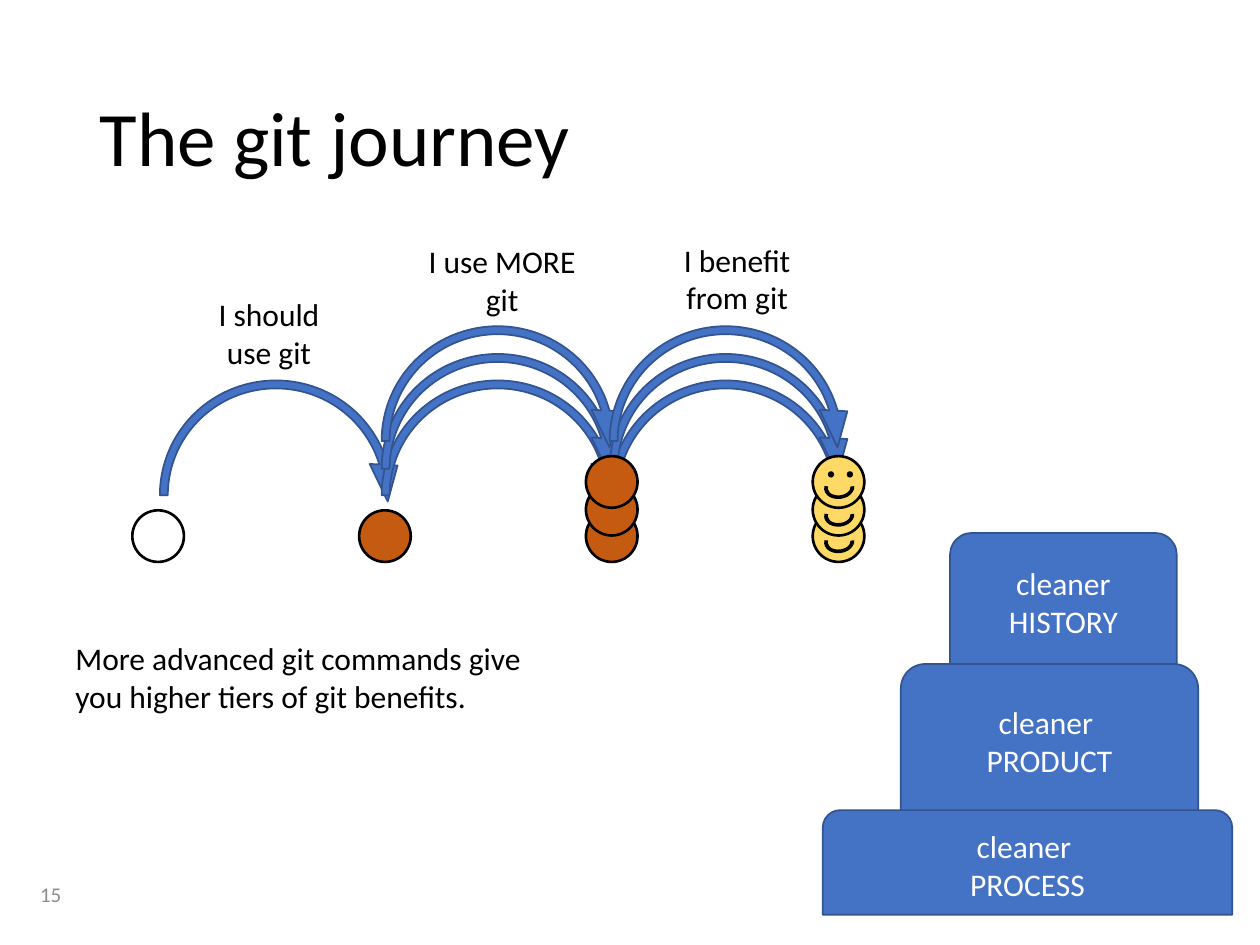
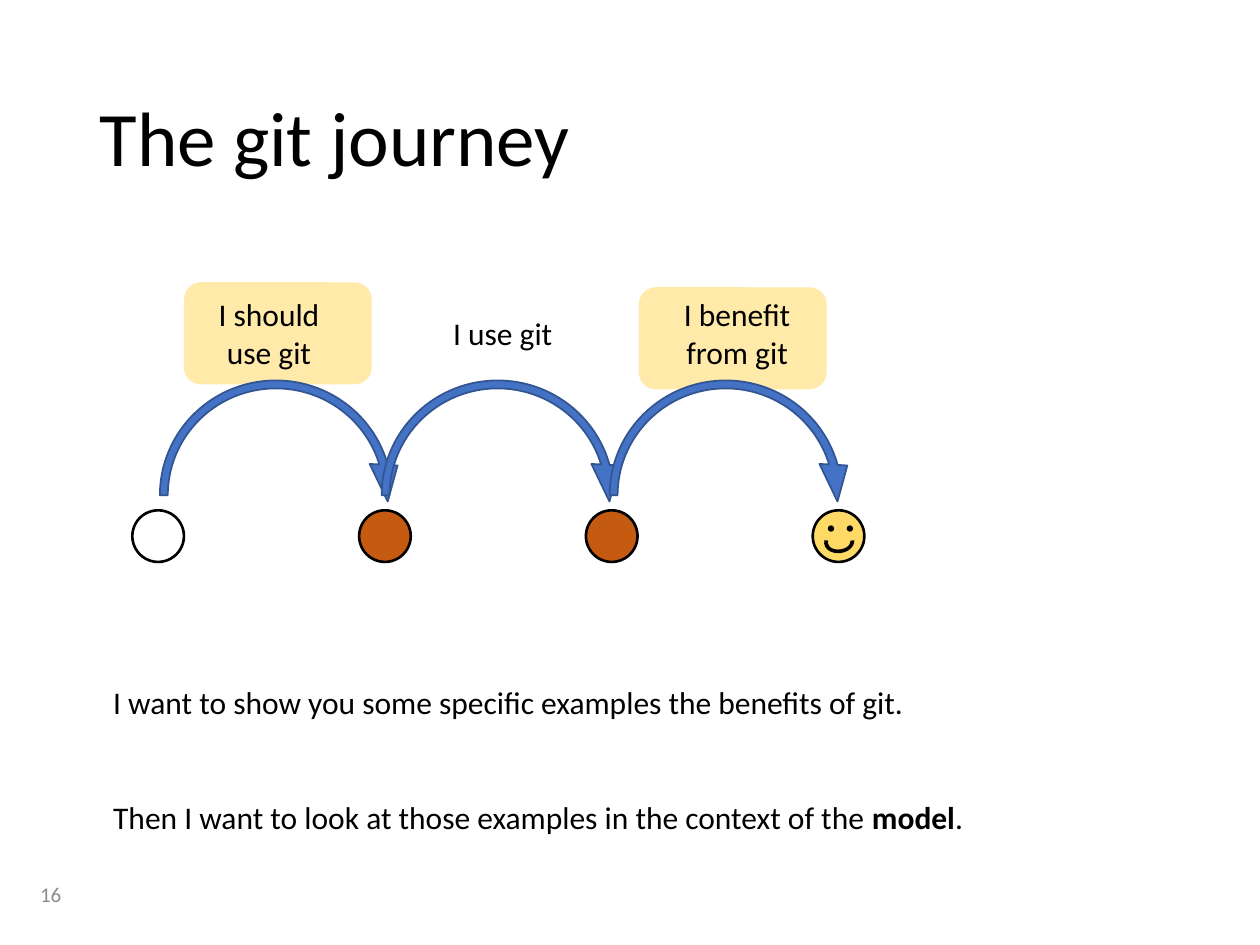
from lxml import etree
from pptx import Presentation
from pptx.dml.color import RGBColor
from pptx.enum.shapes import MSO_SHAPE
from pptx.enum.text import MSO_ANCHOR, MSO_AUTO_SIZE, PP_ALIGN
from pptx.oxml.ns import qn
from pptx.util import Inches, Pt

OVAL = MSO_SHAPE.OVAL
ARC_ARROW = MSO_SHAPE.CIRCULAR_ARROW
BLOCK_ARC = MSO_SHAPE.BLOCK_ARC
ROUNDED = MSO_SHAPE.ROUNDED_RECTANGLE
ROUND_TOP = MSO_SHAPE.ROUND_2_SAME_RECTANGLE
LEFT, CENTER = PP_ALIGN.LEFT, PP_ALIGN.CENTER
TOP, MIDDLE = MSO_ANCHOR.TOP, MSO_ANCHOR.MIDDLE

FONT = "Calibri"
BLACK, WHITE, GREY = "000000", "FFFFFF", "8C8C8C"
BLUE, BLUE_EDGE = "4472C4", "325491"
BROWN, YELLOW, PALE_YELLOW = "C55A11", "FFD966", "FFE699"

# The journey: four stops joined by three hops
STOPS = [1.05 + 1.8 * i for i in range(4)]
STOP_TOP, STOP_SIZE = 4.05, 0.41
HOPS = [1.19, 2.95, 4.76]
HOP_TOP = 2.94
HOP_ADJUSTMENTS = (0.032, 11.423, 206.521, 108, 0.056)
SMILE_ADJUSTMENTS = (108.776, 7.95, 0.16)


def rgb(color):
    return RGBColor.from_string(color)


def add_run(p, text, size=18, color=BLACK, bold=False):
    r = p.add_run()
    r.text = text
    r.font.name, r.font.size, r.font.bold = FONT, Pt(size), bold
    r.font.color.rgb = rgb(color)


def write(tf, text, align=LEFT, anchor=TOP, **font):
    """Fill a text frame; a newline in the text is a line break."""
    tf.word_wrap = True
    tf.auto_size = MSO_AUTO_SIZE.NONE
    tf.vertical_anchor = anchor
    p = tf.paragraphs[0]
    p.alignment = align
    for i, line in enumerate(text.split("\n")):
        if i:
            p.add_line_break()
        add_run(p, line, **font)
    return p


def add_text(s, text, x, y, w, h, **style):
    box = s.shapes.add_textbox(Inches(x), Inches(y), Inches(w), Inches(h))
    write(box.text_frame, text, **style)
    return box.text_frame


def add_shape(s, kind, x, y, w, h, fill=None, line=None, weight=1,
              adjustments=(), alpha=None):
    sp = s.shapes.add_shape(kind, Inches(x), Inches(y), Inches(w), Inches(h))
    sp.shadow.inherit = False
    for i, value in enumerate(adjustments):
        sp.adjustments[i] = value
    if fill:
        sp.fill.solid()
        sp.fill.fore_color.rgb = rgb(fill)
    else:
        sp.fill.background()
    if alpha:
        color = sp.fill._xPr.find(qn("a:solidFill"))[0]
        etree.SubElement(color, qn("a:alpha")).set("val", str(alpha * 1000))
    if line:
        sp.line.color.rgb = rgb(line)
        sp.line.width = Pt(weight)
    else:
        sp.line.fill.background()
    return sp


def add_stop(s, index, fill=None, lift=0):
    add_shape(s, OVAL, STOPS[index], STOP_TOP - lift, STOP_SIZE, STOP_SIZE,
              fill, BLACK, 1.5)


def add_smiley(s, lift=0):
    add_stop(s, 3, YELLOW, lift)
    x, y = STOPS[3], STOP_TOP - lift
    for dx in (0.12, 0.27):
        add_shape(s, OVAL, x + dx, y + 0.12, 0.05, 0.05, BLACK)
    smile = add_shape(s, BLOCK_ARC, x + 0.09, y + 0.16, 0.24, 0.18, BLACK,
                      adjustments=SMILE_ADJUSTMENTS)
    smile.rotation = 173


def add_hop(s, index, lift=0):
    add_shape(s, ARC_ARROW, HOPS[index], HOP_TOP - lift, 2, 1.98, BLUE,
              BLUE_EDGE, adjustments=HOP_ADJUSTMENTS)


def add_journey(s, lifts=(0,)):
    """Draw the first hop once and the later hops once for each lift."""
    add_stop(s, 0)
    add_stop(s, 1, BROWN)
    add_text(s, "I should use git", 1.55, 2.29, 1.17, 0.71, align=CENTER)
    add_hop(s, 0)
    for lift in lifts:
        add_stop(s, 2, BROWN, lift)
        add_hop(s, 1, lift)
        add_hop(s, 2, lift)
        add_smiley(s, lift)


def add_cake_layer(s, text, x, y, w, h):
    sp = add_shape(s, ROUND_TOP, x, y, w, h, BLUE, BLUE_EDGE)
    write(sp.text_frame, text, align=CENTER, anchor=MIDDLE, color=WHITE)


def new_slide(prs, title, number):
    s = prs.slides.add_slide(prs.slide_layouts[5])
    sp = s.shapes.title
    sp.left, sp.top = Inches(0.69), Inches(0.4)
    sp.width, sp.height = Inches(8.62), Inches(1.45)
    write(sp.text_frame, title, anchor=MIDDLE, size=44).line_spacing = 0.9
    add_text(s, str(number), 0.22, 6.9, 2.25, 0.4, anchor=MIDDLE, size=12,
             color=GREY)
    return s


def build_tiers(prs):
    s = new_slide(prs, "The git journey", 15)
    add_journey(s, lifts=(0, 0.21, 0.43))
    add_text(s, "I use MORE git", 3.2, 1.87, 1.57, 0.71, align=CENTER)
    add_text(s, "I benefit from git", 5.24, 1.86, 1.22, 0.71, align=CENTER)
    # Tiers of benefits, from the bottom up
    add_cake_layer(s, "cleaner \nPROCESS", 6.53, 6.43, 3.25, 0.83)
    add_cake_layer(s, "cleaner \nPRODUCT", 7.15, 5.27, 2.36, 1.16)
    add_cake_layer(s, "cleaner HISTORY", 7.54, 4.23, 1.8, 1.04)
    add_text(s, "More advanced git commands give you higher tiers of git "
             "benefits.", 0.5, 5.02, 3.87, 0.71)


def build_examples(prs):
    s = new_slide(prs, "The git journey", 16)
    # Highlights behind the first and last label
    for x, y in ((1.46, 2.24), (5.07, 2.28)):
        add_shape(s, ROUNDED, x, y, 1.49, 0.81, PALE_YELLOW, alpha=83)
    add_journey(s)
    add_text(s, "I use git", 3.38, 2.44, 1.22, 0.4, align=CENTER)
    add_text(s, "I benefit from git", 5.24, 2.29, 1.22, 0.71, align=CENTER)
    # Closing statements
    tf = add_text(s, "I want to show you some specific examples the benefits "
                  "of git.", 0.8, 5.37, 7.3, 1.31)
    p = tf.add_paragraph()
    p.space_before = Pt(44)
    add_run(p, "Then I want to look at those examples in the context of the ")
    add_run(p, "model", bold=True)
    add_run(p, ".")


def main():
    prs = Presentation()
    prs.slide_width, prs.slide_height = Inches(10), Inches(7.5)
    build_tiers(prs)
    build_examples(prs)
    prs.save("out.pptx")


if __name__ == "__main__":
    main()
